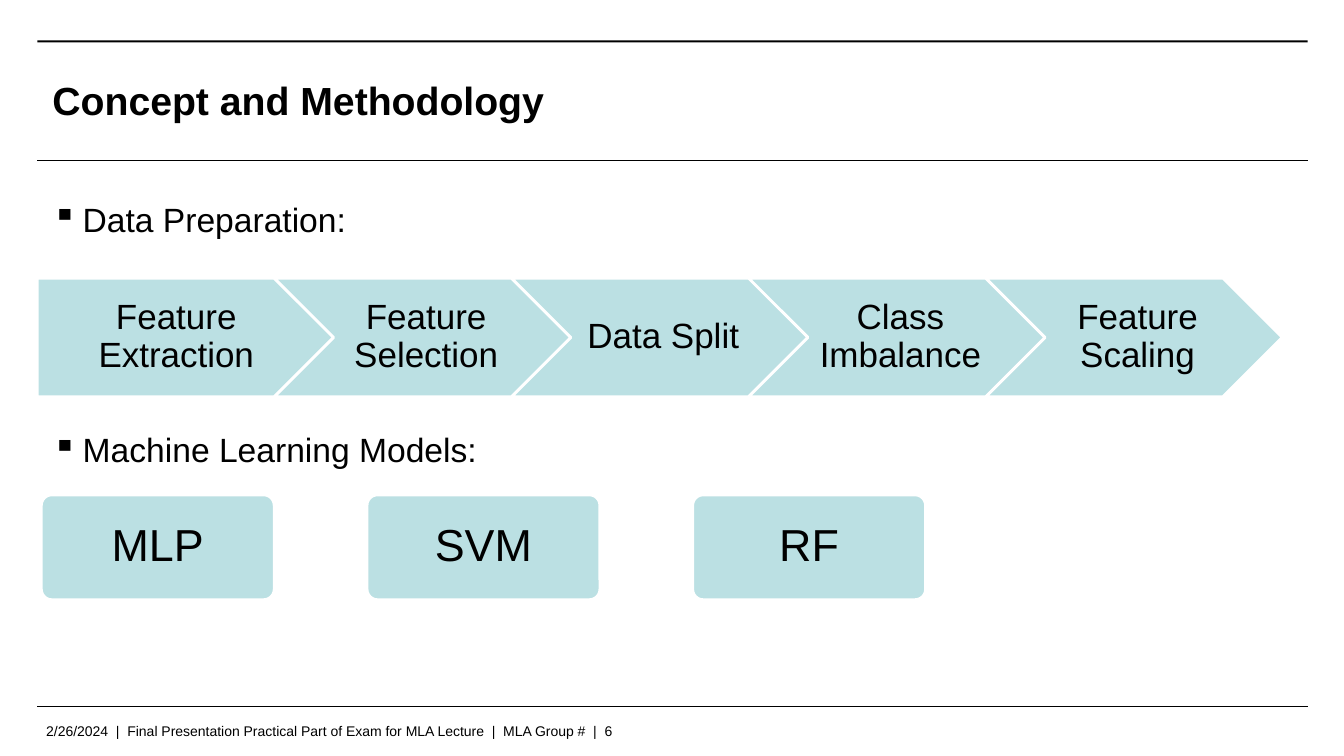
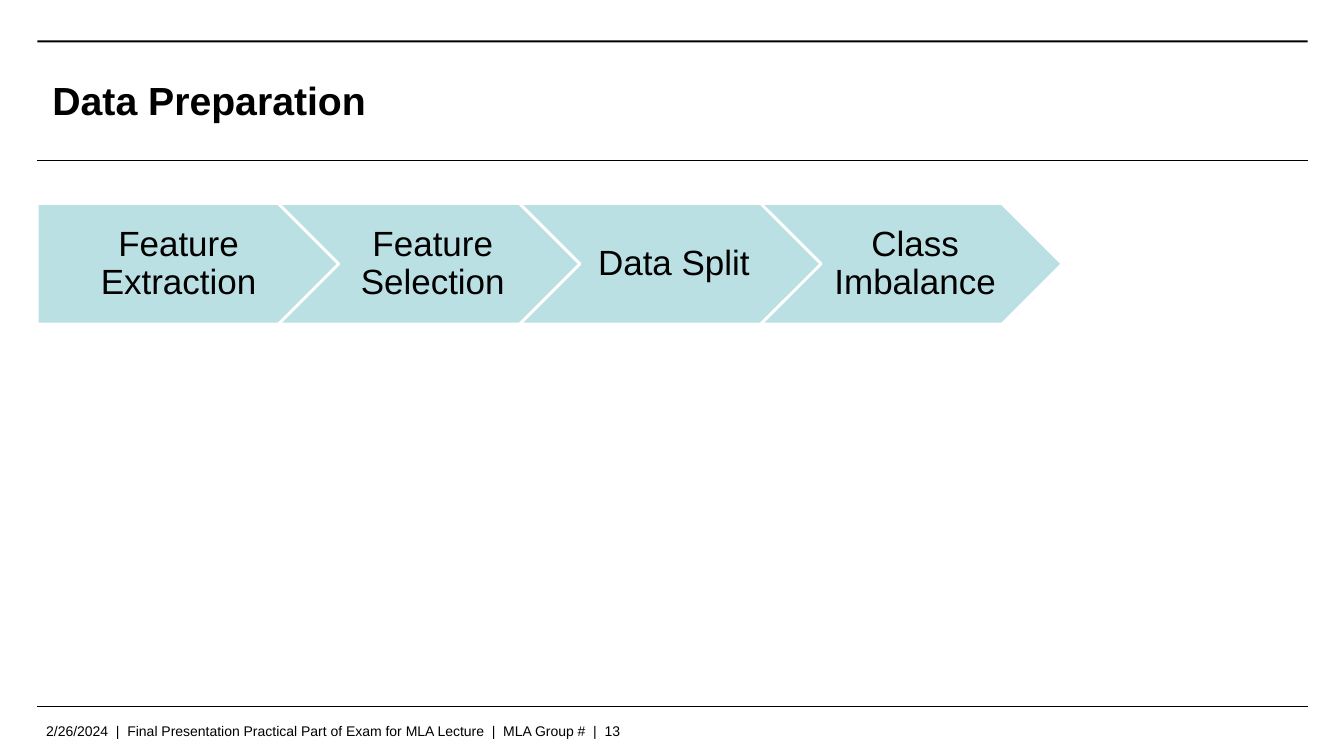
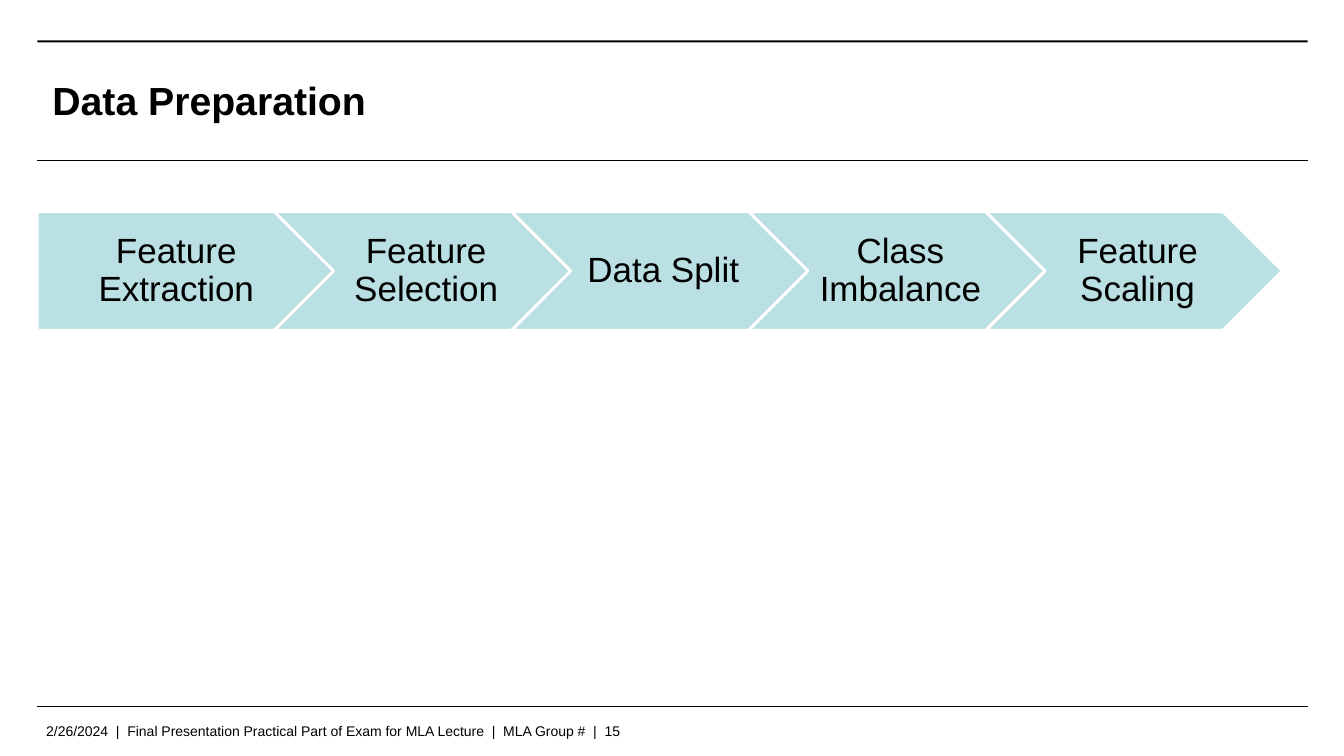
from lxml import etree
from pptx import Presentation
from pptx.dml.color import RGBColor
from pptx.enum import shapes, text
from pptx.oxml import ns
from pptx.util import Inches, Pt

# Shared style
COLORS = {"ink": "000000", "block": "BBE0E3", "edge": "FFFFFF"}
FONT = "Arial"
LEFT, RIGHT = 0.37, 12.97
FOOTER = "2/26/2024  |  Final Presentation Practical Part of Exam for MLA Lecture  |  MLA Group #  |  {}"
SHAPE = shapes.MSO_SHAPE

# Content
STEPS = ["Feature Extraction", "Feature Selection", "Data Split", "Class Imbalance", "Feature Scaling"]
PAGES = [
    {"title": "Concept and Methodology", "number": 6,
     "steps": STEPS, "step_top": 2.76, "step_width": 2.94,
     "bullets": [("Data Preparation:", 1.77), ("Machine Learning Models:", 4.06)],
     "models": ["MLP", "SVM", "RF"]},
    {"title": "Data Preparation", "number": 13,
     "steps": STEPS[:4], "step_top": 2.02, "step_width": 2.99},
    {"title": "Data Preparation", "number": 15,
     "steps": STEPS, "step_top": 2.1, "step_width": 2.94},
]


def color(name):
    return RGBColor.from_string(COLORS[name])


def write(box, words, size, insets, align=text.PP_ALIGN.LEFT,
          anchor=text.MSO_ANCHOR.TOP, bold=False, spacing=1.0):
    frame = box.text_frame
    frame.text = words
    frame.word_wrap = True
    frame.vertical_anchor = anchor
    frame.margin_left, frame.margin_top, frame.margin_right, frame.margin_bottom = map(Inches, insets)
    para = frame.paragraphs[0]
    para.alignment = align
    para.line_spacing = spacing
    font = para.runs[0].font
    font.name, font.size, font.bold = FONT, Pt(size), bold
    font.color.rgb = color("ink")
    return para


def add_text(page, place, *args, **style):
    return write(page.shapes.add_textbox(*map(Inches, place)), *args, **style)


def add_block(page, kind, place, words, size, insets):
    block = page.shapes.add_shape(kind, *map(Inches, place))
    block.shadow.inherit = False
    block.fill.solid()
    block.fill.fore_color.rgb = color("block")
    block.line.color.rgb = color("edge")
    block.line.width = Pt(2)
    write(block, words, size, insets, align=text.PP_ALIGN.CENTER,
          anchor=text.MSO_ANCHOR.MIDDLE, spacing=0.9)
    return block


def add_rule(page, y):
    rule = page.shapes.add_connector(shapes.MSO_CONNECTOR.STRAIGHT,
                                     Inches(LEFT), Inches(y), Inches(RIGHT), Inches(y))
    rule.line.color.rgb = color("ink")
    rule.line.width = Pt(0.6)
    etree.SubElement(rule._element.spPr, ns.qn("a:effectLst"))


def add_frame(page, title, number):
    """Title, rules and footer of every slide."""
    band = page.shapes.add_shape(SHAPE.RECTANGLE, Inches(LEFT), Inches(0.4),
                                 Inches(RIGHT - LEFT), Inches(0.02))
    band.shadow.inherit = False
    band.fill.solid()
    band.fill.fore_color.rgb = color("ink")
    band.line.fill.background()
    for y in (1.59, 7.01):
        add_rule(page, y)
    add_text(page, (0.36, 7.12, 11.23, 0.25), FOOTER.format(number), 10, (0.1, 0.05, 0.1, 0.05))
    heading = page.shapes.title
    heading.left, heading.top, heading.width, heading.height = map(Inches, (0.52, 0.53, 10.47, 0.92))
    write(heading, title, 28, (0, 0, 0, 0), anchor=text.MSO_ANCHOR.MIDDLE, bold=True)


def add_process(page, steps, top, width):
    """Row of arrows, each overlapping the next by a fifth of its width."""
    for index, step in enumerate(steps):
        kind = SHAPE.CHEVRON if index else SHAPE.PENTAGON
        insets = (0.11 if index else 0.15, 0.07, 0.04, 0.07)
        place = (LEFT + index * 0.8 * width, top, width, 0.4 * width)
        add_block(page, kind, place, step, 25, insets)


def add_bullet(page, words, top):
    para = add_text(page, (0.52, top, 6.6, 0.75), words, 24, (0, 0.08, 0, 0.05), spacing=1.3)
    props = para._p.get_or_add_pPr()
    props.set("marL", str(Inches(0.3)))
    props.set("indent", str(Inches(-0.3)))
    etree.SubElement(props, ns.qn("a:buChar")).set("char", "▪")


def add_models(page, models):
    for index, model in enumerate(models):
        place = (0.41 + index * 3.23, 4.91, 2.31, 1.04)
        block = add_block(page, SHAPE.ROUNDED_RECTANGLE, place, model, 32, (0.13,) * 4)
        block.adjustments[0] = 0.1


def main():
    deck = Presentation()
    deck.slide_width, deck.slide_height = Inches(13.33), Inches(7.5)
    for content in PAGES:
        page = deck.slides.add_slide(deck.slide_layouts.get_by_name("Title Only"))
        add_frame(page, content["title"], content["number"])
        add_process(page, content["steps"], content["step_top"], content["step_width"])
        for words, top in content.get("bullets", []):
            add_bullet(page, words, top)
        add_models(page, content.get("models", []))
    deck.save("out.pptx")


if __name__ == "__main__":
    main()
